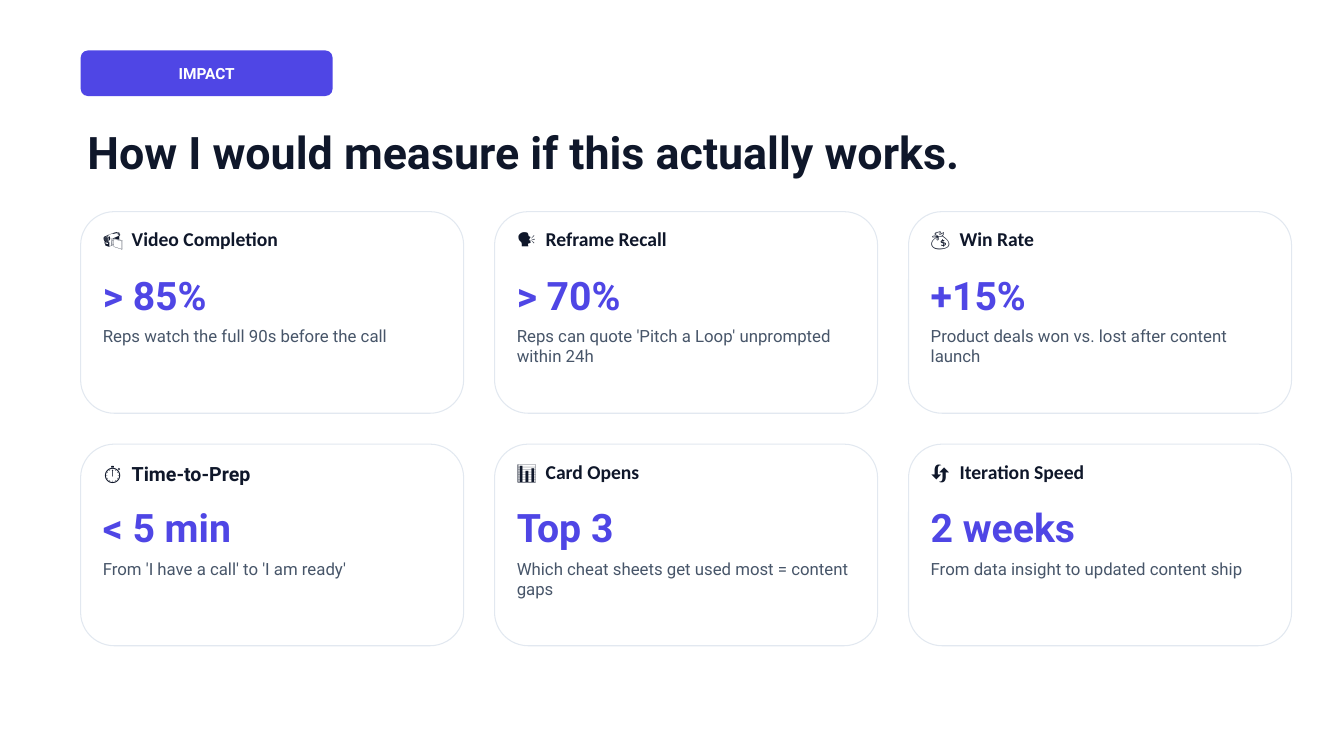
import pptx
import pptx.dml.color
import pptx.enum.shapes
import pptx.enum.text
import pptx.oxml
import pptx.oxml.ns
import pptx.util
from pptx.util import Inches

COLORS = {
    "accent": "4F46E5",
    "ink": "0F172A",
    "muted": "475569",
    "border": "E2E8F0",
    "white": "FFFFFF",
}
METRICS = [
    ("📹", "Video Completion", "> 85%", "Reps watch the full 90s before the call"),
    ("🗣️", "Reframe Recall", "> 70%", "Reps can quote 'Pitch a Loop' unprompted within 24h"),
    ("💰", "Win Rate", "+15%", "Product deals won vs. lost after content launch"),
    ("⏱️", "Time-to-Prep", "< 5 min", "From 'I have a call' to 'I am ready'"),
    ("📊", "Card Opens", "Top 3", "Which cheat sheets get used most = content gaps"),
    ("🔄", "Iteration Speed", "2 weeks", "From data insight to updated content ship"),
]
COLUMNS = 3
ROWS = 2


def rgb(name):
    """Return the palette colour with this name."""
    return pptx.dml.color.RGBColor.from_string(COLORS[name])


def write_text(shape, text, size, color, bold=True, font="Roboto", inset=0, tab=None):
    """Write one paragraph with line spacing of 1.2 times its size."""
    frame = shape.text_frame
    frame.word_wrap = True
    frame.auto_size = pptx.enum.text.MSO_AUTO_SIZE.NONE
    frame.vertical_anchor = pptx.enum.text.MSO_ANCHOR.TOP
    frame.margin_left = frame.margin_right = Inches(inset)
    frame.margin_top = frame.margin_bottom = Inches(inset)
    paragraph = frame.paragraphs[0]
    paragraph.text = text
    paragraph.alignment = pptx.enum.text.PP_ALIGN.LEFT
    paragraph.line_spacing = pptx.util.Pt(size * 1.2)
    if tab:
        properties = paragraph._p.get_or_add_pPr()
        tab_list = pptx.oxml.parse_xml(
            f'<a:tabLst {pptx.oxml.ns.nsdecls("a")}><a:tab pos="{Inches(tab)}" algn="l"/></a:tabLst>'
        )
        properties.append(tab_list)
    paragraph.font.size = pptx.util.Pt(size)
    paragraph.font.name = font
    paragraph.font.bold = bold
    paragraph.font.color.rgb = rgb(color)
    return paragraph


def add_rounded_box(slide, left, top, width, height, radius, fill):
    """Add a rounded rectangle without line or shadow."""
    shape = slide.shapes.add_shape(
        pptx.enum.shapes.MSO_SHAPE.ROUNDED_RECTANGLE,
        Inches(left), Inches(top), Inches(width), Inches(height),
    )
    shape.adjustments[0] = radius / min(width, height)
    shape.shadow.inherit = False
    shape.fill.solid()
    shape.fill.fore_color.rgb = rgb(fill)
    shape.line.fill.background()
    return shape


def add_badge(slide, left, top, width, height):
    """Add the section badge."""
    badge = add_rounded_box(slide, left, top, width, height, 0.11, "accent")
    paragraph = write_text(badge, "IMPACT", 16.5, "white", inset=0.06)
    paragraph.alignment = pptx.enum.text.PP_ALIGN.CENTER
    badge.text_frame.vertical_anchor = pptx.enum.text.MSO_ANCHOR.MIDDLE


def place_title(slide, left, top, width, height):
    """Place the slide title in its placeholder."""
    title = slide.shapes.title
    title.left, title.top = Inches(left), Inches(top)
    title.width, title.height = Inches(width), Inches(height)
    write_text(title, "How I would measure if this actually works.", 48, "ink")


def add_card(slide, left, top, width, height, metric):
    """Add one metric card with heading, target and explanation."""
    icon, heading, target, explanation = metric
    card = add_rounded_box(slide, left, top, width, height, 0.5, "white")
    card.line.color.rgb = rgb("border")
    card.line.width = pptx.util.Pt(1.1)
    is_time = heading == "Time-to-Prep"
    heading_style = {"font": "Roboto" if is_time else "Calibri", "tab": 0.43}
    heading_top = 0.27 if is_time else 0.23
    lines = [
        (heading_top, 0.55, f"{icon}\t{heading}", 21, "ink", heading_style),
        (0.88, 0.65, target, 42, "accent", {}),
        (1.7, 0.8, explanation, 18, "muted", {"bold": False}),
    ]
    padding = 0.33
    for offset, line_height, text, size, color, style in lines:
        box = slide.shapes.add_textbox(
            Inches(left + padding), Inches(top + offset),
            Inches(width - 2 * padding), Inches(line_height),
        )
        write_text(box, text, size, color, **style)


def add_card_grid(slide, left, top, width, height):
    """Spread the metric cards evenly over the box."""
    card_width, card_height = 5.7, 3
    column_step = (width - card_width) / (COLUMNS - 1)
    row_step = (height - card_height) / (ROWS - 1)
    for index, metric in enumerate(METRICS):
        row, column = divmod(index, COLUMNS)
        add_card(slide, left + column * column_step, top + row * row_step,
                 card_width, card_height, metric)


def main():
    """Build and save the presentation."""
    presentation = pptx.Presentation()
    presentation.slide_width = Inches(20)
    presentation.slide_height = Inches(11.25)
    slide = presentation.slides.add_slide(presentation.slide_layouts[5])
    add_badge(slide, 1.2, 0.75, 3.75, 0.68)
    place_title(slide, 1.3, 1.85, 16.31, 0.8)
    add_card_grid(slide, 1.2, 3.15, 18.02, 6.46)
    presentation.save("out.pptx")


if __name__ == "__main__":
    main()
